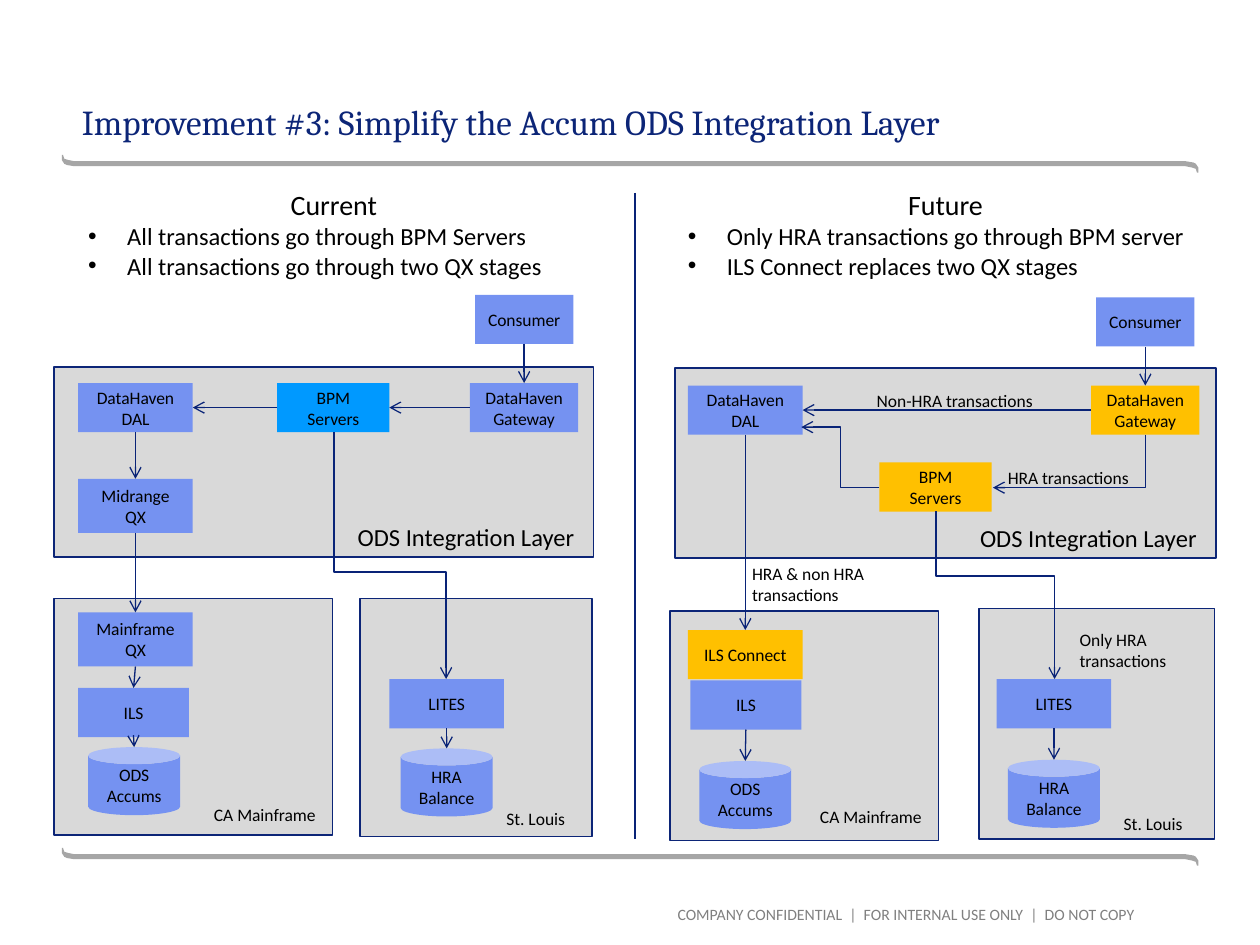
from lxml.etree import SubElement
from pptx import Presentation
from pptx.dml.color import RGBColor
from pptx.enum.shapes import MSO_CONNECTOR, MSO_SHAPE
from pptx.enum.text import MSO_ANCHOR, MSO_AUTO_SIZE, PP_ALIGN
from pptx.oxml.ns import qn
from pptx.util import Inches, Pt

prs = Presentation()
prs.slide_width, prs.slide_height = Inches(10), Inches(7.5)
COL, ROW = prs.slide_width / 100, prs.slide_height / 75
NAVY, ARROW, GRAY, PANEL = "0C2577", "092377", "A6A6A6", "D9D9D9"
BLUE, BRIGHT, AMBER, BLACK = "7592F1", "0099FF", "FFC000", "000000"
LEFT, CENTER, RIGHT = PP_ALIGN.LEFT, PP_ALIGN.CENTER, PP_ALIGN.RIGHT
TOP_SIDE, LEFT_SIDE, BOTTOM_SIDE, RIGHT_SIDE = range(4)


def grid(*cells):
    """Turn alternating columns and rows into lengths."""
    return [round(cell * (ROW if i % 2 else COL)) for i, cell in enumerate(cells)]


def paint(fill, color):
    fill.solid()
    fill.fore_color.rgb = RGBColor.from_string(color)


slide = prs.slides.add_slide(prs.slide_layouts[3])
shapes = slide.shapes
title, current_list, future_list = slide.placeholders
texts = []  # frame, wording, size, color, alignment, frame format

# Rules above and below the content: each half is the other turned by 180 degrees
half = [(0, 0), (0, 4), (2, 7), (4, 8), (10, 9), (892, 9), (897, 10), (900, 11), (901, 14)]
outline = half + [(902 - x, 14 - y) for x, y in half]
for row in (12.3, 67.3):
    builder = shapes.build_freeform(*outline[0], scale=COL / 10)
    builder.add_line_segments(outline[1:])
    rule = builder.convert_to_shape(*grid(4.9, row))
    paint(rule.fill, GRAY)
    rule.line.fill.background()
    rule.shadow.inherit = False

# Title and the two lists
for holder, cells in [(title, (5, 0.8, 90, 11)),
                      (current_list, (6, 14.4, 41, 8.4)),
                      (future_list, (53.6, 14.4, 42.9, 8.4))]:
    holder.left, holder.top, holder.width, holder.height = grid(*cells)
texts.append((title.text_frame, "Improvement #3: Simplify the Accum ODS Integration Layer",
              20, NAVY, LEFT, {"vertical_anchor": MSO_ANCHOR.BOTTOM, "margin_left": Inches(0.15)}))
lists = [
    (current_list, "Current\nAll transactions go through BPM Servers\n"
                   "All transactions go through two QX stages"),
    (future_list, "Future\nOnly HRA transactions go through BPM server\n"
                  "ILS Connect replaces two QX stages"),
]
for holder, wording in lists:
    texts.append((holder.text_frame, wording, 14, BLACK, LEFT,
                  {"vertical_anchor": MSO_ANCHOR.TOP}))

# Panels
for cells in [(4.3, 29.1, 42.8, 15.1), (4.3, 47.5, 22.1, 18.8), (28.6, 47.5, 18.4, 18.9),
              (53.6, 29.2, 42.9, 15.1), (53.2, 48.5, 21.3, 18.2), (77.7, 48.3, 18.7, 18.3)]:
    panel = shapes.add_shape(MSO_SHAPE.RECTANGLE, *grid(*cells))
    paint(panel.fill, PANEL)
    paint(panel.line.fill, NAVY)
    panel.line.width = Pt(1)
    panel.shadow.inherit = False

# Systems of the current (c) and future (f) layer
systems = {
    "c consumer": ("Consumer", BLUE, 37.7, 23.4, 7.8, 3.9),
    "c gateway": ("DataHaven\nGateway", BLUE, 37.3, 30.4, 8.6, 3.9),
    "c bpm": ("BPM Servers", BRIGHT, 22, 30.4, 8.9, 3.9),
    "c dal": ("DataHaven\nDAL", BLUE, 6.2, 30.4, 9.1, 3.9),
    "c midrange": ("Midrange\nQX", BLUE, 6.2, 38, 9.1, 4.3),
    "c mainframe": ("Mainframe\nQX", BLUE, 6.2, 48.6, 9.1, 4.3),
    "c ils": ("ILS", BLUE, 6.2, 54.6, 8.8, 3.9),
    "c lites": ("LITES", BLUE, 30.9, 53.9, 9.1, 3.9),
    "f consumer": ("Consumer", BLUE, 87, 23.6, 7.8, 3.9),
    "f gateway": ("DataHaven\nGateway", AMBER, 86.6, 30.6, 8.6, 3.9),
    "f bpm": ("BPM Servers", AMBER, 69.8, 36.7, 8.9, 3.9),
    "f dal": ("DataHaven\nDAL", BLUE, 54.6, 30.6, 9.1, 3.9),
    "f ils": ("ILS", BLUE, 54.8, 54, 8.8, 3.9),
    "f connect": ("ILS Connect", AMBER, 54.6, 50, 9.1, 3.9),
    "f lites": ("LITES", BLUE, 79.1, 53.9, 9.1, 3.9),
    "c accums db": ("ODS\nAccums", BLUE, 7, 59.3, 7.3, 5.4),
    "c balance db": ("HRA\nBalance", BLUE, 31.8, 59.4, 7.3, 5.4),
    "f accums db": ("ODS\nAccums", BLUE, 55.5, 60.4, 7.3, 5.4),
    "f balance db": ("HRA\nBalance", BLUE, 80, 60.3, 7.3, 5.4),
}
placed = {}
for key, (wording, color, *cells) in systems.items():
    kind = MSO_SHAPE.CAN if key.endswith("db") else MSO_SHAPE.RECTANGLE
    system = placed[key] = shapes.add_shape(kind, *grid(*cells))
    paint(system.fill, color)
    system.line.fill.background()
    system.shadow.inherit = False
    texts.append((system.text_frame, wording, 10, BLACK, CENTER,
                  {"vertical_anchor": MSO_ANCHOR.MIDDLE}))

# Straight arrows; those into a database end at the top of its lid
arrows = []
for source, side, target, target_side in [
    ("c consumer", BOTTOM_SIDE, "c gateway", TOP_SIDE),
    ("c gateway", LEFT_SIDE, "c bpm", RIGHT_SIDE),
    ("c bpm", LEFT_SIDE, "c dal", RIGHT_SIDE),
    ("c dal", BOTTOM_SIDE, "c midrange", TOP_SIDE),
    ("c midrange", BOTTOM_SIDE, "c mainframe", TOP_SIDE),
    ("c mainframe", BOTTOM_SIDE, "c ils", TOP_SIDE),
    ("c ils", BOTTOM_SIDE, "c accums db", None),
    ("c lites", BOTTOM_SIDE, "c balance db", None),
    ("f consumer", BOTTOM_SIDE, "f gateway", TOP_SIDE),
    ("f gateway", LEFT_SIDE, "f dal", RIGHT_SIDE),
    ("f dal", BOTTOM_SIDE, "f connect", TOP_SIDE),
    ("f ils", BOTTOM_SIDE, "f accums db", None),
    ("f lites", BOTTOM_SIDE, "f balance db", None),
]:
    end = placed[target]
    arrow = shapes.add_connector(MSO_CONNECTOR.STRAIGHT, 0, 0,
                                 end.left + end.width // 2, end.top)
    arrow.begin_connect(placed[source], side)
    if target_side is not None:
        arrow.end_connect(end, target_side)
    arrows.append(arrow)

# Bent arrows that leave downwards: lay out the turned frame around its centre
for x1, y1, x2, y2, preset, bend in [
    (26.5, 34.3, 35.4, 53.9, "bentConnector3", 56600),
    (74.3, 40.6, 83.7, 53.9, "bentConnector3", 38600),
    (90.9, 34.5, 78.8, 38.7, "bentConnector2", None),
]:
    mid_x, mid_y = (x1 + x2) / 2, (y1 + y2) / 2
    reach, drop = abs(x2 - x1) / 2, (y2 - y1) / 2
    arrow = shapes.add_connector(MSO_CONNECTOR.ELBOW, *grid(
        mid_x - drop, mid_y - reach, mid_x + drop, mid_y + reach))
    frame = arrow._element.spPr.find(qn("a:xfrm"))
    shape_kind = arrow._element.spPr.find(qn("a:prstGeom"))
    shape_kind.set("prst", preset)
    frame.set("rot", "16200000" if x2 > x1 else "5400000")
    if x2 > x1:
        frame.set("flipH", "1")
    if bend:
        adjusts = shape_kind.find(qn("a:avLst"))
        if adjusts is None:
            adjusts = SubElement(shape_kind, qn("a:avLst"))
        SubElement(adjusts, qn("a:gd"), name="adj1", fmla=f"val {bend}")
    arrows.append(arrow)
arrows.append(shapes.add_connector(MSO_CONNECTOR.ELBOW, *grid(69.8, 38.7, 63.6, 33.9)))

# Divider, and the line style shared with the arrows
divider = shapes.add_connector(MSO_CONNECTOR.STRAIGHT, *grid(50.4, 15.3, 50.4, 66.6))
for line in [*arrows, divider]:
    paint(line.line.fill, ARROW)
    line.line.width = Pt(0.75)
    properties = line._element.spPr
    if line is not divider:
        SubElement(properties.find(qn("a:ln")), qn("a:tailEnd"), type="arrow")
    SubElement(properties, qn("a:effectLst"))

# Labels and footer
for wording, size, *cells in [
    ("ODS Integration Layer", 14, 27.4, 40.9, 19.6, 3.4),
    ("ODS Integration Layer", 14, 76.8, 41, 19.6, 3.4),
    ("CA Mainframe", 10, 16, 63.3, 10.4, 2.7),
    ("CA Mainframe", 10, 64.1, 63.5, 10.4, 2.7),
    ("St. Louis", 10, 39.2, 63.6, 9.5, 2.7),
    ("St. Louis", 10, 88.2, 64, 9.5, 2.7),
    ("Non-HRA transactions", 10, 68.6, 30.5, 15.1, 2.7),
    ("HRA transactions", 10, 79, 36.6, 11.8, 2.7),
    ("Only HRA transactions", 10, 84.7, 49.4, 11.8, 4.4),
    ("HRA & non HRA transactions", 10, 58.7, 44.2, 11.8, 4.4),
]:
    label = shapes.add_textbox(*grid(*cells))
    texts.append((label.text_frame, wording, size, BLACK, LEFT, {}))
footer = shapes.add_textbox(*grid(34.2, 71.8, 55.8, 1.5))
margins = dict.fromkeys(("margin_left", "margin_top", "margin_right", "margin_bottom"), 0)
texts.append((footer.text_frame, "COMPANY CONFIDENTIAL  |  FOR INTERNAL USE ONLY  |  DO NOT COPY",
              9, "808080", RIGHT, {"vertical_anchor": MSO_ANCHOR.MIDDLE, **margins}))

# Wording and type for every part
for frame, wording, size, color, alignment, frame_format in texts:
    frame.text = wording
    base = {"word_wrap": True, "auto_size": MSO_AUTO_SIZE.NONE}
    for name, value in {**base, **frame_format}.items():
        setattr(frame, name, value)
    for paragraph in frame.paragraphs:
        paragraph.alignment = alignment
        paragraph.space_before = Pt(0)
        for run in paragraph.runs:
            font_name = "Cambria" if color == NAVY else "Calibri"
            for name, value in {"name": font_name, "size": Pt(size)}.items():
                setattr(run.font, name, value)
            paint(run.font.fill, color)

# Centred list headings and hanging bullets
for holder, _ in lists:
    heading, *items = holder.text_frame.paragraphs
    heading.alignment = CENTER
    heading.runs[0].font.size = Pt(16)
    for paragraph in (heading, *items):
        indent = 0 if paragraph is heading else Inches(0.31)
        properties = paragraph._p.get_or_add_pPr()
        properties.set("marL", str(indent))
        properties.set("indent", str(-indent))
        if indent:
            SubElement(properties, qn("a:buFont"), typeface="Arial")
            SubElement(properties, qn("a:buChar"), char="•")
        else:
            SubElement(properties, qn("a:buNone"))

prs.save("out.pptx")
